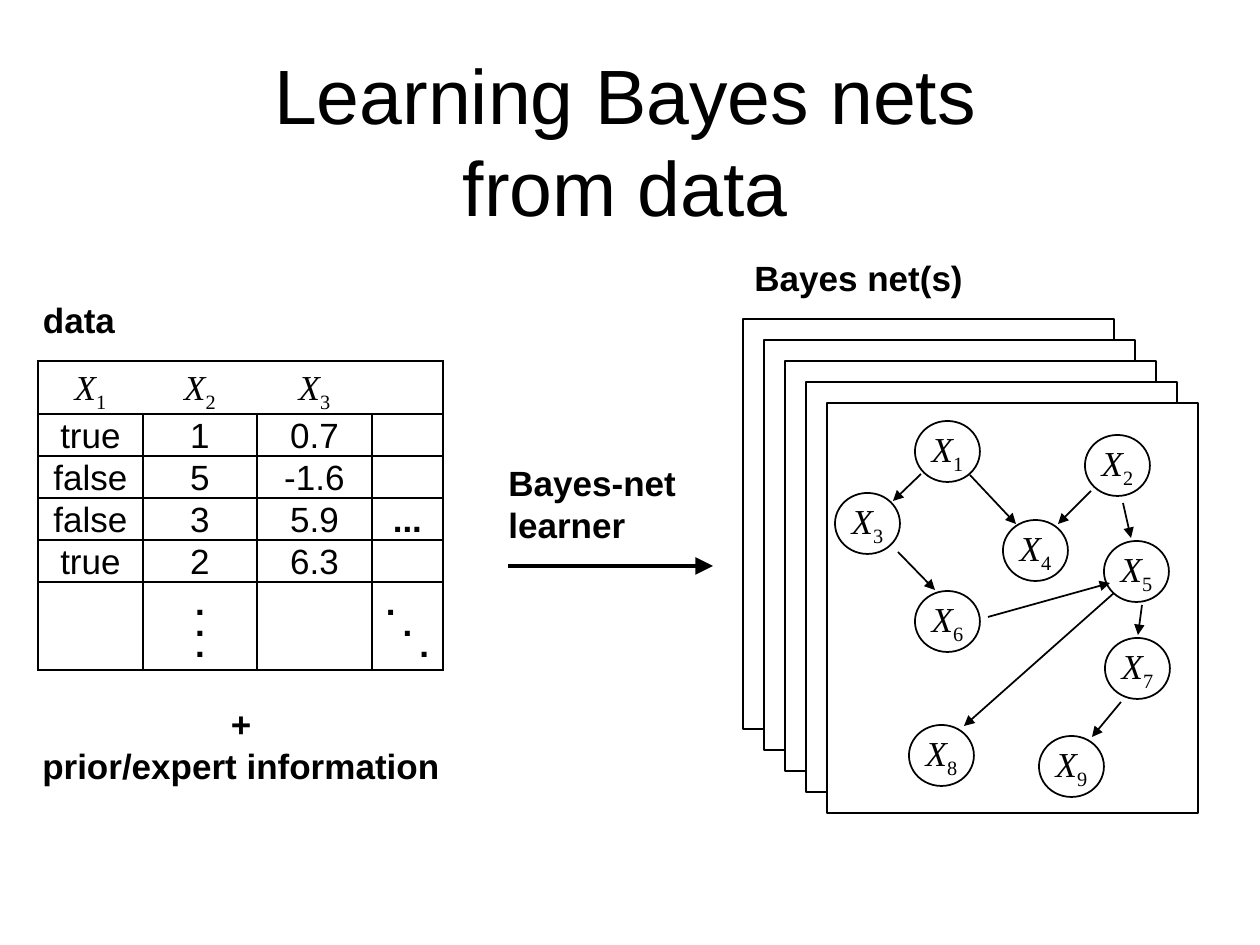
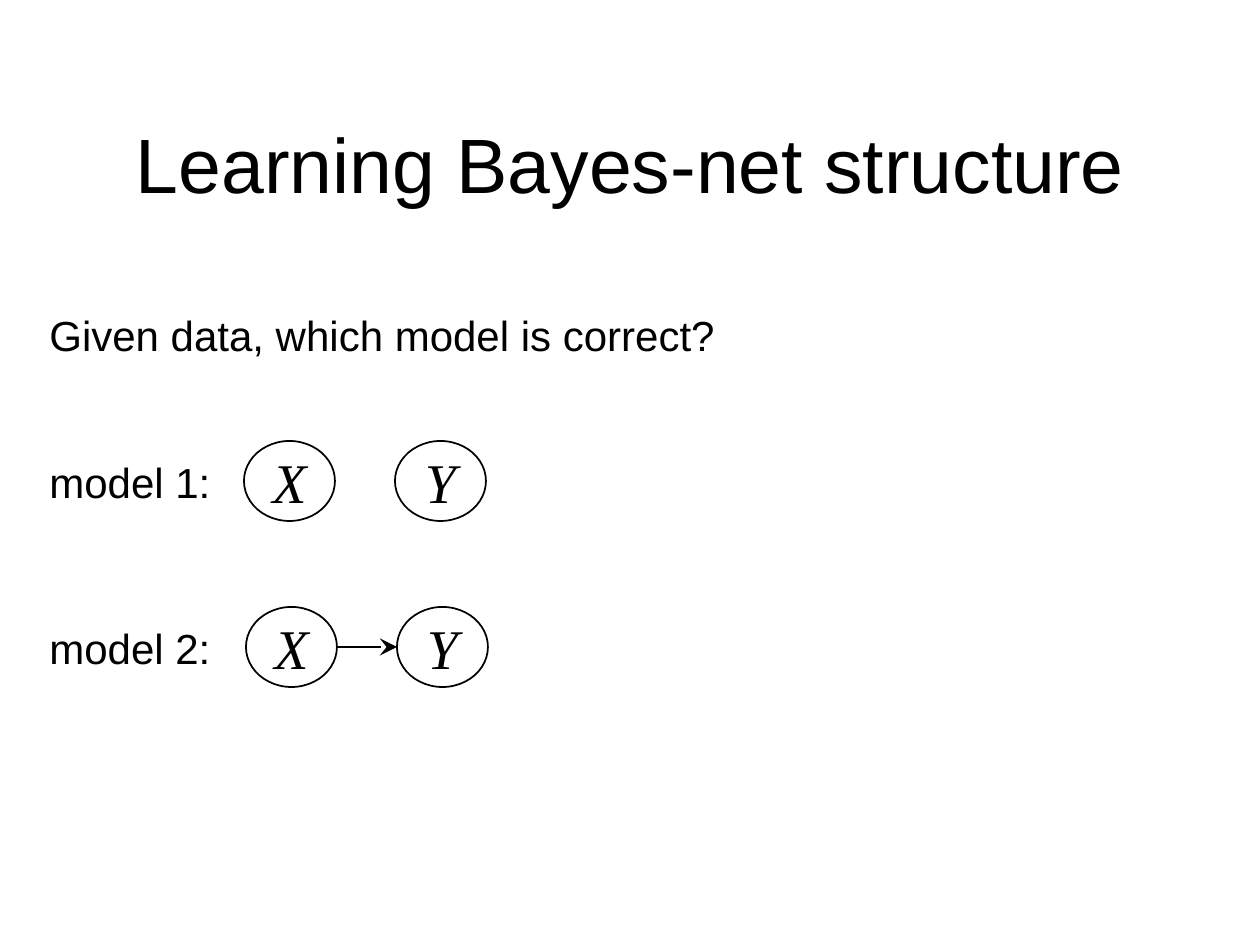
from lxml import etree
from pptx import Presentation
from pptx.dml.color import RGBColor
from pptx.enum.shapes import MSO_CONNECTOR, MSO_SHAPE
from pptx.enum.text import MSO_ANCHOR, MSO_AUTO_SIZE, PP_ALIGN
from pptx.oxml.ns import qn
from pptx.util import Emu, Pt

PX = 914400 / 126
INK = {"text": "000000", "line": "000000", "paper": "FFFFFF"}
SANS, SERIF = "Arial", "Times New Roman"
LEFT, MID, RIGHT = PP_ALIGN.LEFT, PP_ALIGN.CENTER, PP_ALIGN.RIGHT

TITLES = [
    ("Learning Bayes nets\vfrom data", (127, 86, 997, 108)),
    ("Learning Bayes-net structure", (108, 93, 1045, 140)),
]

# Slide 1: data, learner and resulting nets
LABELS = [
    (["Bayes net(s)"], (742, 250, 260, 54), LEFT),
    (["data"], (20, 292, 118, 54), MID),
    (["Bayes-net", "learner"], (496, 455, 210, 97), LEFT),
    (["+", "prior/expert information"], (16, 696, 450, 96), MID),
]
DATA = [
    ["X_1", "X_2", "X_3", ""],
    ["true", "1", "0.7", ""],
    ["false", "5", "-1.6", ""],
    ["false", "3", "5.9", "..."],
    ["true", "2", "6.3", ""],
    ["", "...", "", "..."],
]
GRID = {"left": 38, "top": 361, "cols": [105, 114, 115, 71],
        "rows": [53, 42, 42, 42, 42, 88]}
LEARN = (508, 566, 713, 566)
SHEET = {"left": 743, "top": 319, "width": 371, "height": 410,
         "count": 5, "step": 21}
NODES = [(915, 421), (1085, 435), (835, 493), (1003, 520), (1104, 541),
         (915, 591), (1105, 638), (909, 725), (1039, 736)]
NODE = (65, 61)
EDGES = [
    (988, 617, 1110, 583), (970, 475, 1016, 524), (1091, 491, 1058, 524),
    (1123, 503, 1131, 538), (1114, 593, 964, 726), (1142, 605, 1138, 635),
    (1121, 702, 1092, 737), (921, 474, 893, 501), (898, 552, 935, 590),
]

# Slide 2: two candidate models
ASK = ("Given data, which model is correct?", (37, 303, 740, 63))
MODELS = [("model 1:", 244, 441, False), ("model 2:", 246, 607, True)]
VARS = ["X", "Y"]
OVAL = (91, 80)
STEP = 151


def emu(*nums):
    return [Emu(round(num * PX)) for num in nums]


def ink(name):
    return RGBColor.from_string(INK[name])


def style(obj, **values):
    for key, value in values.items():
        setattr(obj, key, value)


def add_run(para, text, name=SANS, **values):
    run = para.add_run()
    run.text = text
    style(run.font, name=name, **values)
    run.font.color.rgb = ink("text")
    return run


def add_var(para, text, size):
    """Write a variable in italics, with what follows "_" as a subscript."""
    base, _, sub = text.partition("_")
    add_run(para, base, SERIF, size=Pt(size), italic=True)
    if sub:
        run = add_run(para, sub, SERIF, size=Pt(size))
        run._r.get_or_add_rPr().set("baseline", "-25000")


def write(frame, lines, aligns, size, bold=False):
    for i, (line, align) in enumerate(zip(lines, aligns)):
        para = frame.paragraphs[0] if i == 0 else frame.add_paragraph()
        para.alignment = align
        if "_" in line:
            add_var(para, line, size)
        else:
            add_run(para, line, size=Pt(size), bold=bold)


def add_text(slide, lines, box, align, size, bold=False):
    frame = slide.shapes.add_textbox(*emu(*box)).text_frame
    frame.word_wrap = True
    write(frame, lines, [align] * len(lines), size, bold)


def add_form(slide, kind, box, fill=True):
    form = slide.shapes.add_shape(kind, *emu(*box))
    form.shadow.inherit = False
    if fill:
        form.fill.solid()
        form.fill.fore_color.rgb = ink("paper")
    else:
        form.fill.background()
    form.line.color.rgb = ink("line")
    form.line.width = Pt(1)
    return form


def add_node(slide, text, box, size, fill=True):
    frame = add_form(slide, MSO_SHAPE.OVAL, box, fill).text_frame
    style(frame, word_wrap=False, vertical_anchor=MSO_ANCHOR.MIDDLE)
    para = frame.paragraphs[0]
    para.alignment = MID
    add_var(para, text, size)


def add_arrow(slide, ends, width=1, head="triangle", size="med"):
    arrow = slide.shapes.add_connector(MSO_CONNECTOR.STRAIGHT, *emu(*ends))
    arrow.line.color.rgb = ink("line")
    arrow.line.width = Pt(width)
    etree.SubElement(arrow.line._get_or_add_ln(), qn("a:tailEnd"),
                     type=head, w=size, len=size)
    etree.SubElement(arrow._element.spPr, qn("a:effectLst"))


def add_border(cell, sides):
    """Draw the named sides of a cell and clear the others."""
    for side in "LRTB":
        line = etree.SubElement(cell._tc.get_or_add_tcPr(),
                                qn("a:ln" + side), w=str(Pt(1)))
        if side in sides:
            fill = etree.SubElement(line, qn("a:solidFill"))
            etree.SubElement(fill, qn("a:srgbClr"), val=INK["line"])
        else:
            etree.SubElement(line, qn("a:noFill"))


def add_data(slide):
    cols, rows = GRID["cols"], GRID["rows"]
    box = (GRID["left"], GRID["top"], sum(cols), sum(rows))
    table = slide.shapes.add_table(len(rows), len(cols), *emu(*box)).table
    style(table, first_row=False, horz_banding=False)
    for col, width in zip(table.columns, emu(*cols)):
        col.width = width
    for row, height in zip(table.rows, emu(*rows)):
        row.height = height
    last_row, last_col = len(rows) - 1, len(cols) - 1
    for r, line in enumerate(DATA):
        for c, text in enumerate(line):
            cell = table.cell(r, c)
            style(cell, margin_left=0, margin_right=0, margin_top=0,
                  margin_bottom=0, vertical_anchor=MSO_ANCHOR.BOTTOM)
            # The header row has no inner column lines
            left = "L" if r or c == 0 else ""
            right = "R" if r or c == last_col else ""
            add_border(cell, left + right + "TB")
            cell.fill.solid()
            cell.fill.fore_color.rgb = ink("paper")
            if r == last_row and text:
                add_dots(cell, text, c == last_col)
            elif text:
                write(cell.text_frame, [text], [MID], 20, text == "...")


def add_dots(cell, dots, slant):
    """Stack the dots, straight down or along a diagonal."""
    gap, = emu(14)
    style(cell, vertical_anchor=MSO_ANCHOR.MIDDLE,
          margin_left=gap, margin_right=gap, margin_top=gap)
    aligns = [LEFT, MID, RIGHT] if slant else [MID] * 3
    write(cell.text_frame, dots, aligns, 20, True)
    for para in cell.text_frame.paragraphs:
        para.line_spacing = Pt(12)


def add_slide(deck, text, box):
    slide = deck.slides.add_slide(deck.slide_layouts[5])
    title = slide.shapes.title
    left, top, width, height = emu(*box)
    style(title, left=left, top=top, width=width, height=height)
    frame = title.text_frame
    style(frame, auto_size=MSO_AUTO_SIZE.NONE, word_wrap=True,
          vertical_anchor=MSO_ANCHOR.MIDDLE)
    frame.text = text
    para = frame.paragraphs[0]
    para.alignment = MID
    for run in para.runs:
        style(run.font, name=SANS, size=Pt(44))
        run.font.color.rgb = ink("text")
    return slide


def draw_nets(slide):
    for lines, box, align in LABELS:
        add_text(slide, lines, box, align, 20, True)
    add_data(slide)
    add_arrow(slide, LEARN, 2, size="lg")
    for i in range(SHEET["count"]):
        move = i * SHEET["step"]
        add_form(slide, MSO_SHAPE.RECTANGLE,
                 (SHEET["left"] + move, SHEET["top"] + move,
                  SHEET["width"], SHEET["height"]))
    for i, spot in enumerate(NODES, 1):
        add_node(slide, f"X_{i}", spot + NODE, 20)
    for ends in EDGES:
        add_arrow(slide, ends)


def draw_models(slide):
    text, box = ASK
    add_text(slide, [text], box, LEFT, 24)
    wide, high = OVAL
    for label, left, top, linked in MODELS:
        add_text(slide, [label], (37, top + 9, 200, 63), LEFT, 24)
        for i, name in enumerate(VARS):
            add_node(slide, name, (left + i * STEP, top) + OVAL, 32, False)
        if linked:
            mid = top + high // 2
            add_arrow(slide, (left + wide, mid, left + STEP, mid),
                      0.75, "stealth", "lg")


def main():
    deck = Presentation()
    deck.slide_width, deck.slide_height = emu(1260, 945)
    for (text, box), draw in zip(TITLES, [draw_nets, draw_models]):
        draw(add_slide(deck, text, box))
    deck.save("out.pptx")


if __name__ == "__main__":
    main()
